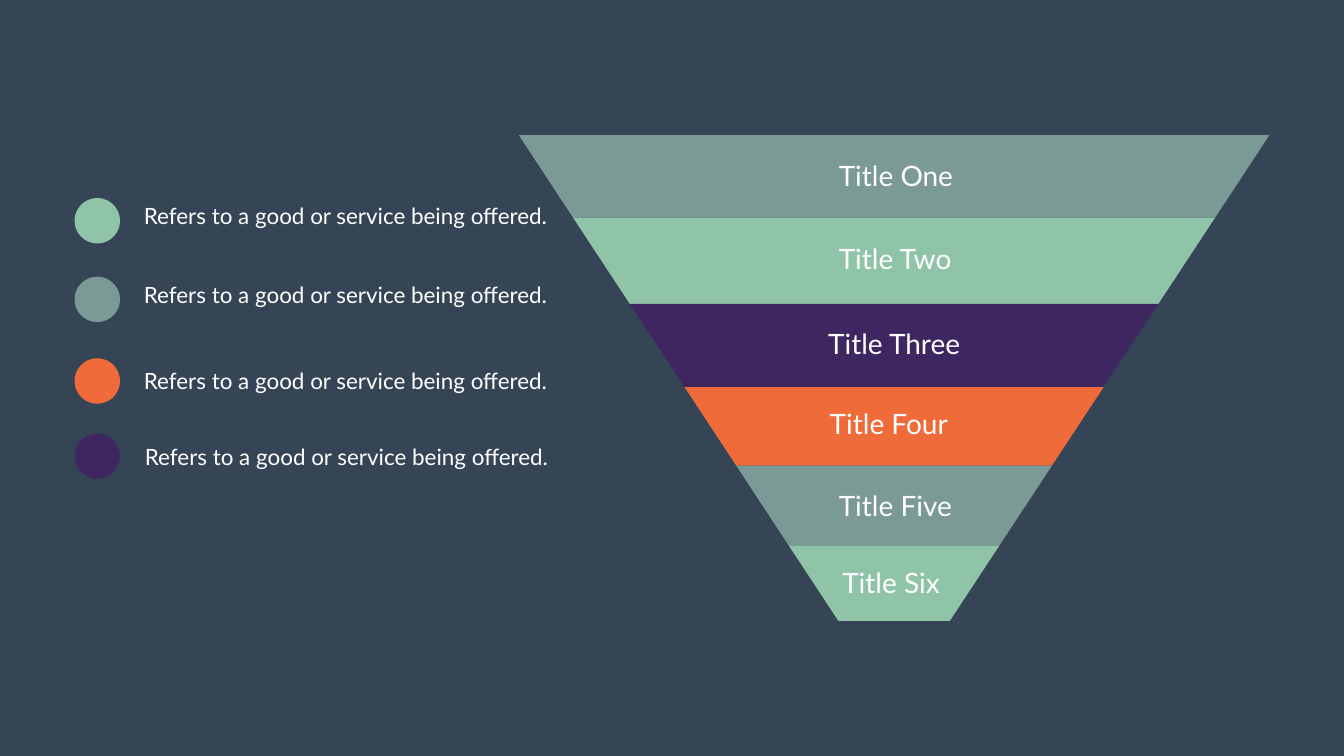
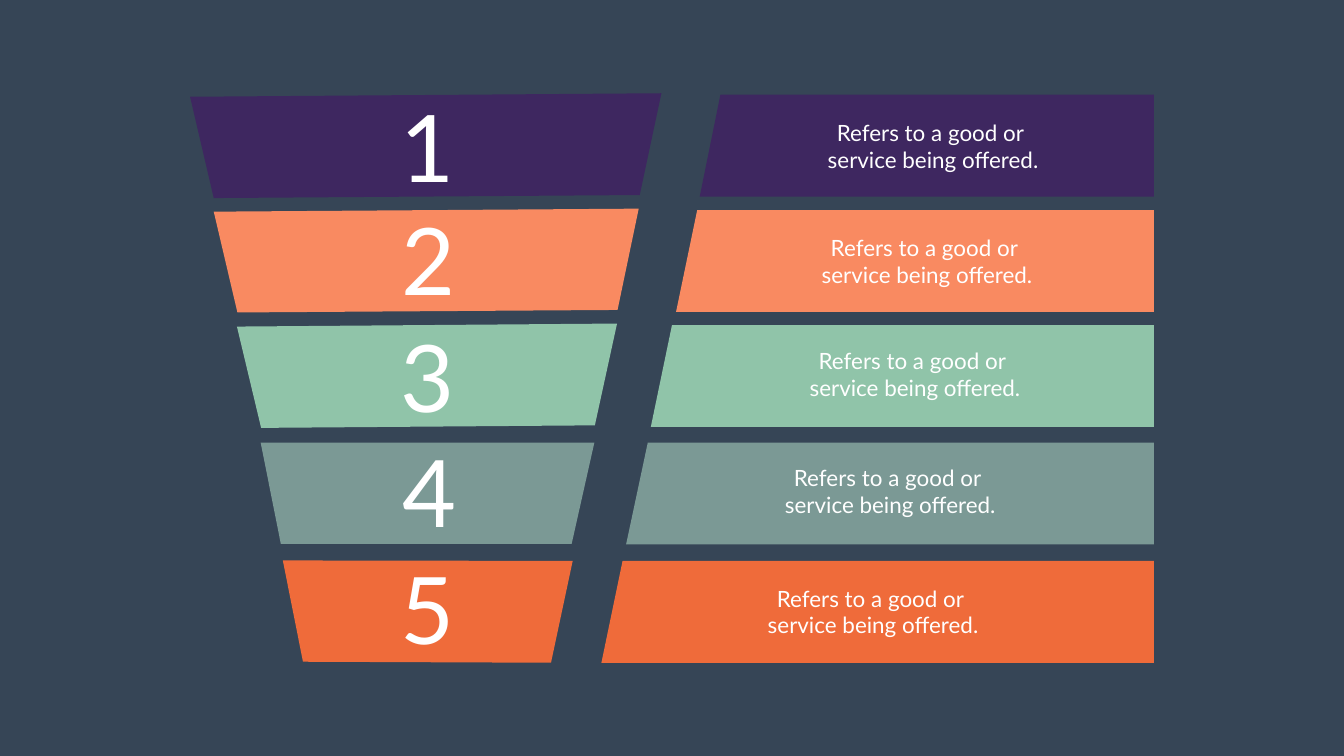
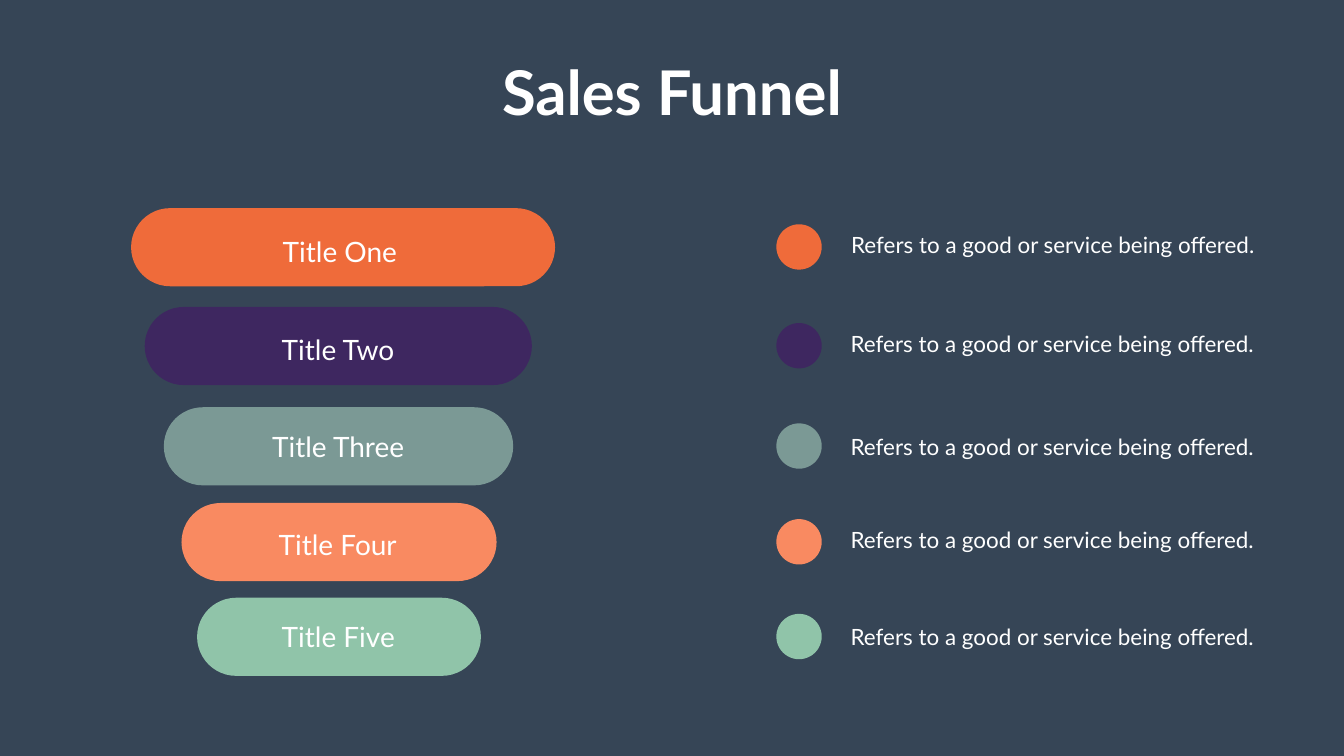
from pptx import Presentation
from pptx.dml.color import RGBColor
from pptx.enum.shapes import MSO_SHAPE
from pptx.enum.text import MSO_ANCHOR, MSO_AUTO_SIZE, PP_ALIGN
from pptx.util import Inches, Pt

OVAL = MSO_SHAPE.OVAL
PILL = MSO_SHAPE.ROUNDED_RECTANGLE
LEFT, MID = PP_ALIGN.LEFT, PP_ALIGN.CENTER
TOP = MSO_ANCHOR.TOP
GROW = MSO_AUTO_SIZE.SHAPE_TO_FIT_TEXT

NAVY = RGBColor(0x36, 0x45, 0x56)
WHITE = RGBColor(0xFF, 0xFF, 0xFF)
SAGE = RGBColor(0x7B, 0x99, 0x95)
MINT = RGBColor(0x90, 0xC4, 0xA9)
PLUM = RGBColor(0x3E, 0x27, 0x60)
FLAME = RGBColor(0xEF, 0x6B, 0x3A)
PEACH = RGBColor(0xF9, 0x8A, 0x61)

FONT = "Lato"
NOTE = "Refers to a good or service being offered."
SPLIT = "Refers to a good or \nservice being offered."
DOT = 0.9


def draw(slide, tone, spots, kind=None):
    """Draw a preset shape in a box, or an outline through points."""
    if kind is None:
        spots = [(Inches(x), Inches(y)) for x, y in spots]
        pen = slide.shapes.build_freeform(*spots[0], scale=1.0)
        pen.add_line_segments(spots[1:], close=True)
        shape = pen.convert_to_shape()
    else:
        shape = slide.shapes.add_shape(kind, *[Inches(v) for v in spots])
    shape.shadow.inherit = False
    shape.fill.solid()
    shape.fill.fore_color.rgb = tone
    shape.line.fill.background()
    return shape


def write(slide, words, spot, size, align=LEFT, wrap=False, box=None):
    """Put white text in a new text box or in the given placeholder."""
    spot = [Inches(v) for v in spot]
    if box is None:
        box = slide.shapes.add_textbox(*spot)
    box.left, box.top, box.width, box.height = spot
    frame = box.text_frame
    frame.text = words
    frame.word_wrap = wrap
    frame.auto_size = GROW
    frame.vertical_anchor = TOP
    for para in frame.paragraphs:
        para.alignment = align
        for run in para.runs:
            run.font.name = FONT
            run.font.size = Pt(size)
            run.font.color.rgb = WHITE
            run.font.bold = box.is_placeholder


deck = Presentation()
deck.slide_width, deck.slide_height = Inches(26.66), Inches(15)
ground = deck.slide_master.background.fill
ground.solid()
ground.fore_color.rgb = NAVY
bare, titled = deck.slide_layouts[6], deck.slide_layouts[5]

# Slide 1: six-step funnel with a legend
slide = deck.slides.add_slide(bare)
edges = [2.68, 4.32, 6.03, 7.68, 9.24, 10.83, 12.32]
inset = [0.6577 * (y - edges[0]) for y in edges]
near, far = 10.29, 25.18
steps = [
    ("Title One", SAGE, 16.54, 3.1, 2.5),
    ("Title Two", MINT, 16.54, 4.75, 2.53),
    ("Title Three", PLUM, 16.33, 6.43, 2.88),
    ("Title Four", FLAME, 16.36, 8.02, 2.59),
    ("Title Five", SAGE, 16.54, 9.64, 2.48),
    ("Title Six", MINT, 16.61, 11.17, 2.16),
]
for i, (name, tone, x, y, wide) in enumerate(steps):
    top, low = edges[i:i + 2]
    a, b = inset[i:i + 2]
    draw(slide, tone, [(near + a, top), (far - a, top), (far - b, low), (near + b, low)])
    write(slide, name, (x, y, wide, 0.77), 40)

legend = [
    (MINT, 3.93, 2.71, 3.97),
    (SAGE, 5.49, 2.71, 5.53),
    (FLAME, 7.11, 2.71, 7.24),
    (PLUM, 8.6, 2.73, 8.74),
]
for tone, top, x, y in legend:
    draw(slide, tone, (1.48, top, DOT, DOT), OVAL)
    write(slide, NOTE, (x, y, 8.29, 0.64), 32, MID, True)

# Slide 2: numbered slabs, each with a slanted note bar
slide = deck.slides.add_slide(bare)
end, tall = 22.89, 2.02
slabs = [
    (PLUM, [(3.77, 1.92), (4.24, 3.93), (12.69, 3.87), (13.12, 1.85)],
     (14.29, 13.88, 1.88), (7.84, 1.72), (16.28, 2.32)),
    (PEACH, [(4.24, 4.2), (4.71, 6.2), (12.25, 6.15), (12.67, 4.14)],
     (13.83, 13.41, 4.17), (7.86, 3.97), (16.16, 4.59)),
    (MINT, [(4.7, 6.48), (5.18, 8.49), (11.8, 8.44), (12.24, 6.42)],
     (13.33, 12.91, 6.45), (7.84, 6.29), (15.92, 6.84)),
    (SAGE, [(5.17, 8.78), (5.57, 10.79), (11.34, 10.79), (11.79, 8.78)],
     (12.85, 12.42, 8.78), (7.89, 8.58), (15.43, 9.16)),
    (FLAME, [(5.61, 11.12), (6.01, 13.13), (10.93, 13.15), (11.36, 11.13)],
     (12.35, 11.93, 11.13), (7.84, 10.9), (15.09, 11.55)),
]
for num, (tone, slab, (high, foot, top), digit, note) in enumerate(slabs, 1):
    draw(slide, tone, slab)
    draw(slide, tone, [(high, top), (end, top), (end, top + tall), (foot, top + tall)])
    write(slide, str(num), (*digit, 1.28, 2.34), 133)
    write(slide, SPLIT, (*note, 4.46, 1.18), 32, MID)

# Slide 3: pills that narrow downwards, with a legend
slide = deck.slides.add_slide(titled)
write(slide, "Sales Funnel", (9.81, 1.01, 7.04, 1.58), 88, MID, box=slide.shapes.title)
pills = [
    ("Title One", FLAME, (2.6, 4.13, 8.41), (5.51, 4.6, 2.5), (16.74, 4.53)),
    ("Title Two", PLUM, (2.87, 6.09, 7.68), (5.49, 6.55, 2.53), (16.73, 6.5)),
    ("Title Three", SAGE, (3.25, 8.08, 6.93), (5.3, 8.47, 2.88), (16.73, 8.54)),
    ("Title Four", PEACH, (3.6, 9.98, 6.25), (5.43, 10.42, 2.59), (16.73, 10.39)),
    ("Title Five", MINT, (3.91, 11.86, 5.63), (5.49, 12.25, 2.48), (16.73, 12.31)),
]
for name, tone, pill, label, note in pills:
    shape = draw(slide, tone, (*pill, 1.55), PILL)
    shape.adjustments[0] = 0.5
    draw(slide, tone, (15.4, pill[1] + 0.32, DOT, DOT), OVAL)
    write(slide, name, (*label, 0.77), 40)
    write(slide, NOTE, (*note, 8.29, 0.64), 32, MID, True)

deck.save("out.pptx")
